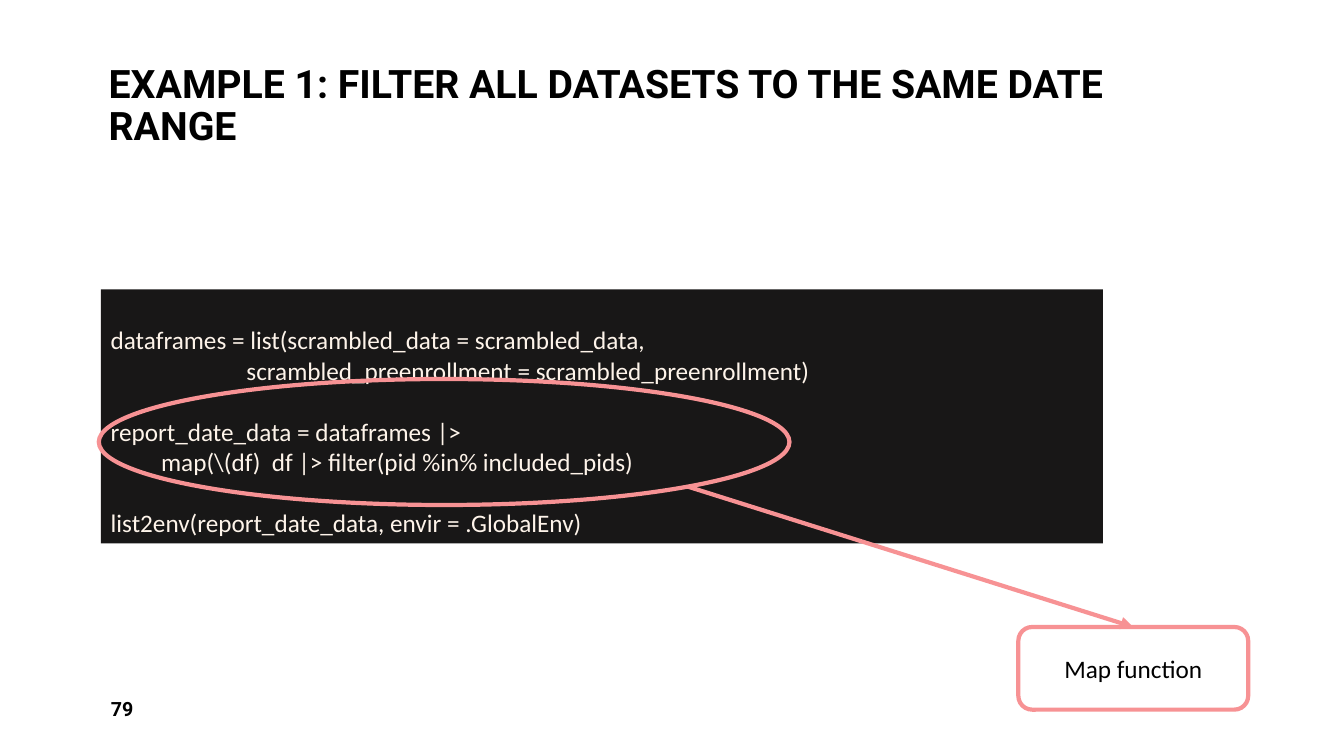
from dataclasses import dataclass
from typing import Optional

import lxml.etree
import pptx
import pptx.dml.color
import pptx.enum.shapes
import pptx.enum.text
import pptx.oxml
import pptx.oxml.ns
import pptx.util

PX = 9144  # EMU in one px, 100 px to the inch
ANCHOR = pptx.enum.text.MSO_ANCHOR
ALIGN = pptx.enum.text.PP_ALIGN
SHAPE = pptx.enum.shapes.MSO_SHAPE

BLACK = "000000"
CODE_BACKGROUND = "181717"
CODE_TEXT = "FEF4EA"
HIGHLIGHT = "F79294"
CODE_LINE_HEIGHT = 22


@dataclass
class Line:
    text: str
    format: dict


@dataclass
class Box:
    left: int
    top: int
    width: int
    height: int
    lines: tuple[Line, ...] = ()
    font: Optional[dict] = None
    color: str = BLACK
    frame: Optional[dict] = None
    preset: Optional[SHAPE] = None
    fill: Optional[str] = None
    outline: Optional[str] = None


def px(length: int) -> pptx.util.Emu:
    return pptx.util.Emu(length * PX)


def rgb(color: str) -> pptx.dml.color.RGBColor:
    return pptx.dml.color.RGBColor.from_string(color)


def set_attributes(target: object, values: dict) -> None:
    for name, value in values.items():
        setattr(target, name, value)


def set_line(line, color: str) -> None:
    line.color.rgb = rgb(color)
    line.width = pptx.util.Pt(3)


def write_lines(shape, box: Box) -> None:
    text_frame = shape.text_frame
    set_attributes(text_frame, {"word_wrap": True, **(box.frame or {})})
    for index, line in enumerate(box.lines):
        paragraph = text_frame.paragraphs[0] if index == 0 else text_frame.add_paragraph()
        set_attributes(paragraph, {"alignment": ALIGN.LEFT, **line.format})
        run = paragraph.add_run()
        run.text = line.text
        set_attributes(run.font, box.font)
        run.font.color.rgb = rgb(box.color)


def add_box(slide, box: Box):
    """Draw a preset shape, or a text box when no preset is given."""
    place = [px(length) for length in (box.left, box.top, box.width, box.height)]
    if box.preset is None:
        shape = slide.shapes.add_textbox(*place)
    else:
        shape = slide.shapes.add_shape(box.preset, *place)
        shape.shadow.inherit = False
        if box.fill:
            shape.fill.solid()
            shape.fill.fore_color.rgb = rgb(box.fill)
        else:
            shape.fill.background()
        if box.outline:
            set_line(shape.line, box.outline)
        else:
            shape.line.fill.background()
    if box.lines:
        write_lines(shape, box)
    return shape


def add_arrow(slide, left: int, top: int, target) -> None:
    """Draw an arrow from a point to the middle of the target's top side."""
    arrow = slide.shapes.add_connector(
        pptx.enum.shapes.MSO_CONNECTOR.STRAIGHT, px(left), px(top), px(left), px(top)
    )
    arrow.end_connect(target, 0)
    set_line(arrow.line, HIGHLIGHT)
    qn = pptx.oxml.ns.qn
    properties = arrow.element.spPr
    head = lxml.etree.SubElement(properties.find(qn("a:ln")), qn("a:tailEnd"))
    head.set("type", "triangle")
    lxml.etree.SubElement(properties, qn("a:effectLst"))


HEADING_FONT = {"name": "Roboto", "bold": True}
BODY_FONT = {"name": "Calibri", "size": pptx.util.Pt(18)}
NEW_BLOCK = {"space_before": pptx.util.Pt(CODE_LINE_HEIGHT)}

TITLE = Box(
    98, 8, 1138, 145,
    (Line("EXAMPLE 1: FILTER ALL DATASETS TO THE SAME DATE RANGE", {"line_spacing": 0.9}),),
    {**HEADING_FONT, "size": pptx.util.Pt(28)},
    frame={"vertical_anchor": ANCHOR.BOTTOM},
)
PAGE_NUMBER = Box(
    100, 683, 292, 40,
    (Line("79", {}),),
    {**HEADING_FONT, "size": pptx.util.Pt(14)},
    frame={"vertical_anchor": ANCHOR.MIDDLE},
)
CODE = Box(
    100, 287, 994, 252,
    (
        Line("dataframes = list(scrambled_data = scrambled_data,", {}),
        Line("\t               scrambled_preenrollment = scrambled_preenrollment)", {}),
        Line("report_date_data = dataframes |>", NEW_BLOCK),
        Line("\tmap(\\(df)  df |> filter(pid %in% included_pids)", {}),
        Line("list2env(report_date_data, envir = .GlobalEnv)", NEW_BLOCK),
    ),
    BODY_FONT,
    CODE_TEXT,
    {"vertical_anchor": ANCHOR.TOP, "margin_top": px(35)},
    SHAPE.RECTANGLE,
    fill=CODE_BACKGROUND,
)
MAP_HIGHLIGHT = Box(98, 376, 685, 125, preset=SHAPE.OVAL, outline=HIGHLIGHT)
MAP_LABEL = Box(
    1010, 622, 228, 82,
    (Line("Map function", {"alignment": ALIGN.CENTER}),),
    BODY_FONT,
    frame={"vertical_anchor": ANCHOR.MIDDLE},
    preset=SHAPE.ROUNDED_RECTANGLE,
    outline=HIGHLIGHT,
)


def main() -> None:
    presentation = pptx.Presentation()
    presentation.slide_width = px(1333)
    presentation.slide_height = px(750)
    slide = presentation.slides.add_slide(presentation.slide_layouts[6])
    for box in (TITLE, PAGE_NUMBER, CODE, MAP_HIGHLIGHT):
        add_box(slide, box)
    map_label = add_box(slide, MAP_LABEL)
    add_arrow(slide, 683, 483, map_label)
    presentation.save("out.pptx")


if __name__ == "__main__":
    main()
